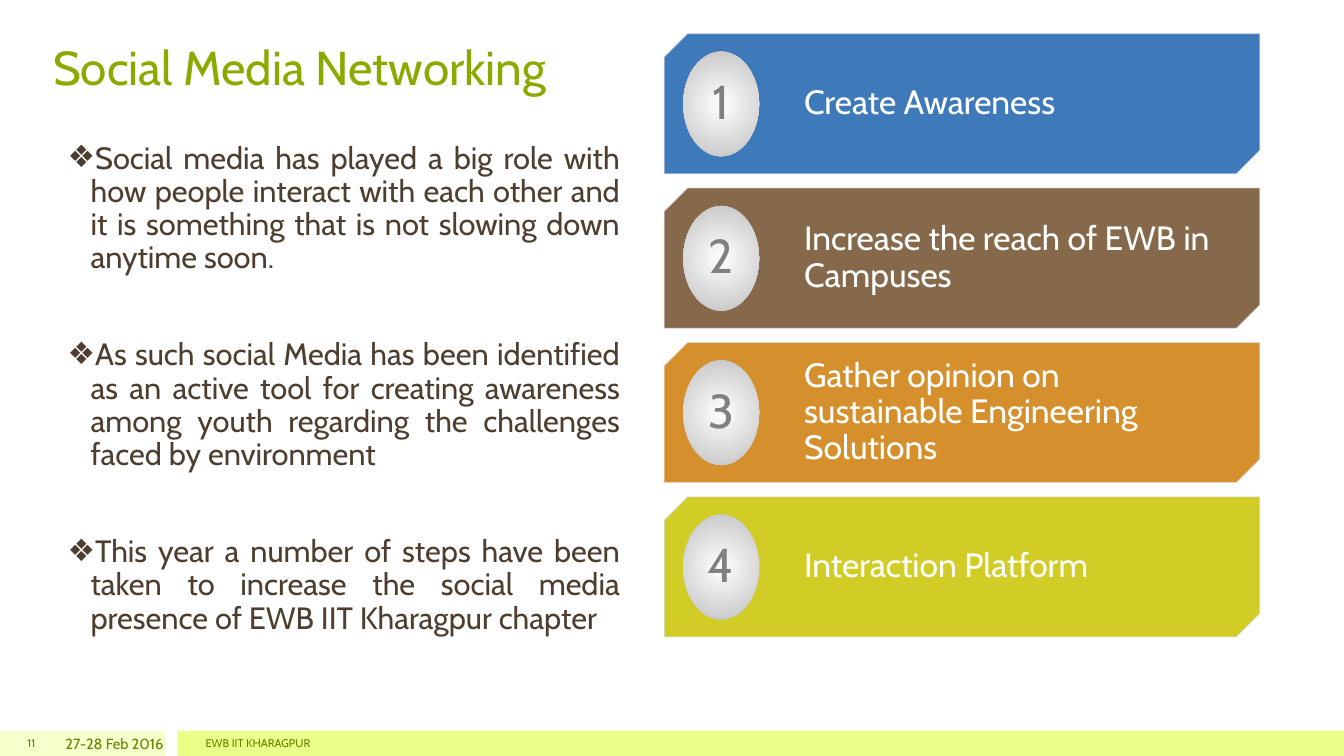
"""Build the Social Media Networking slide with its four numbered goals."""
from dataclasses import dataclass

import pptx
import pptx.dml.color
import pptx.enum.shapes
import pptx.enum.text
import pptx.oxml
import pptx.oxml.ns
import pptx.util
from pptx.util import Cm

FONT = "Cabin"
COLOURS = {
    "title": "8BAA00", "body": "4D3E2F", "footer": "688000",
    "pale": "F6FFCC", "lime": "E9FF88", "white": "FFFFFF",
    "silver": "BFBFBF", "number": "808080",
    "blue": "2A6CB2", "blue edge": "CDD4E4",
    "brown": "795837", "brown edge": "D7D1CE",
    "orange": "D18316", "orange edge": "EED9CC",
    "olive": "CDC80F", "olive edge": "D7E5F9",
}
ALIGN = pptx.enum.text.PP_ALIGN
ANCHOR = pptx.enum.text.MSO_ANCHOR
SHAPE = pptx.enum.shapes.MSO_SHAPE
BANNER_TOP, BANNER_PITCH = 0.85, 3.89
FOOTER_TOP, FOOTER_HEIGHT = 18.42, 0.63


@dataclass
class Goal:
    label: str
    colour: str


@dataclass
class FooterText:
    text: str
    left: float
    width: float
    size: float
    align: ALIGN


GOALS = [
    Goal("Create Awareness", "blue"),
    Goal("Increase the reach of EWB in Campuses", "brown"),
    Goal("Gather opinion on sustainable Engineering Solutions", "orange"),
    Goal("Interaction Platform", "olive"),
]
POINTS = [
    "Social media has played a big role with how people interact with each other "
    "and it is something that is not slowing down anytime soon.",
    "As such social Media has been identified as an active tool for creating "
    "awareness among youth regarding the challenges faced by environment",
    "This year a number of steps have been taken to increase the social media "
    "presence of EWB IIT Kharagpur chapter",
]
FOOTERS = [
    FooterText("EWB IIT KHARAGPUR", 4.93, 25.4, 8, ALIGN.LEFT),
    FooterText("11", 0, 1.14, 8, ALIGN.RIGHT),
    FooterText("27-28 Feb 2016", 1.14, 3.23, 10.5, ALIGN.RIGHT),
]


def rgb(name: str) -> pptx.dml.color.RGBColor:
    """Look up a named colour."""
    return pptx.dml.color.RGBColor.from_string(COLOURS[name])


def element(markup: str):
    """Parse a drawing element written without its namespace."""
    tag, _, rest = markup.partition(" ")
    return pptx.oxml.parse_xml(f"<a:{tag} {pptx.oxml.ns.nsdecls('a')} {rest}")


def place(box, left: float, top: float, width: float, height: float) -> None:
    """Move and size a placeholder in centimetres."""
    box.left, box.top, box.width, box.height = map(Cm, (left, top, width, height))


def write(para, text: str, size: float, colour: str, align: ALIGN, spacing: float = 1.0) -> None:
    """Add one formatted run to a paragraph."""
    para.alignment, para.line_spacing = align, spacing
    span = para.add_run()
    span.text = text
    span.font.name, span.font.size = FONT, pptx.util.Pt(size)
    span.font.color.rgb = rgb(colour)


def prepare(box, anchor: ANCHOR):
    """Set wrapping and anchoring, and return the text frame."""
    frame = box.text_frame
    frame.word_wrap = True
    frame.auto_size = pptx.enum.text.MSO_AUTO_SIZE.NONE
    frame.vertical_anchor = anchor
    return frame


def add_plain(page, kind: SHAPE, left: float, top: float, width: float, height: float):
    """Add a shape with neither shadow nor outline."""
    box = page.shapes.add_shape(kind, Cm(left), Cm(top), Cm(width), Cm(height))
    box.shadow.inherit = False
    box.line.fill.background()
    return box


def paint(fill, colour: str, alpha: int = 100) -> None:
    """Apply a solid colour with the given opacity in percent."""
    fill.solid()
    fill.fore_color.rgb = rgb(colour)
    if alpha < 100:
        holder = fill._xPr.find(pptx.oxml.ns.qn("a:solidFill"))
        holder[0].append(element(f'alpha val="{alpha * 1000}"/>'))


def fill_title(box) -> None:
    """Format the title placeholder."""
    place(box, 0.84, 0.84, 15.67, 2.79)
    frame = prepare(box, ANCHOR.TOP)
    frame.margin_left = Cm(0.5)
    write(frame.paragraphs[0], "Social Media Networking", 34, "title", ALIGN.LEFT)


def fill_body(box) -> None:
    """Write the justified list into the body placeholder."""
    place(box, 1.45, 2.24, 14.43, 14.96)
    frame = prepare(box, ANCHOR.TOP)
    frame.margin_top = Cm(1.35)
    for index, point in enumerate(POINTS):
        para = frame.add_paragraph() if index else frame.paragraphs[0]
        write(para, point, 22, "body", ALIGN.JUSTIFY, 0.9)
        para.space_before = pptx.util.Pt(45.5 if index else 0)
        properties = para._p.get_or_add_pPr()
        properties.set("marL", str(Cm(0.58)))
        properties.set("indent", str(Cm(-0.58)))
        properties.append(element('buChar char="❖"/>'))


def add_goal(page, index: int, goal: Goal) -> None:
    """Draw one banner with its numbered oval."""
    top = BANNER_TOP + index * BANNER_PITCH
    banner = add_plain(page, SHAPE.SNIP_2_DIAG_RECTANGLE, 16.74, top, 15.01, 3.53)
    banner.adjustments[0], banner.adjustments[1] = 0.16667, 0
    paint(banner.fill, goal.colour, 90)
    paint(banner.line.fill, f"{goal.colour} edge", 90)
    banner.line.width = pptx.util.Pt(0.5)
    frame = prepare(banner, ANCHOR.MIDDLE)
    frame.margin_left, frame.margin_right = Cm(3.23), Cm(0.69)
    write(frame.paragraphs[0], goal.label, 24, "white", ALIGN.LEFT, 0.9)

    oval = add_plain(page, SHAPE.OVAL, 17.22, top + 0.45, 1.91, 2.64)
    oval.fill.gradient()
    for stop, colour in zip(oval.fill.gradient_stops, ("white", "silver")):
        stop.color.rgb = rgb(colour)
    gradient = oval._element.spPr.find(pptx.oxml.ns.qn("a:gradFill"))
    gradient.remove(gradient.find(pptx.oxml.ns.qn("a:lin")))
    gradient.append(element(
        'path path="circle"><a:fillToRect l="50000" t="50000" r="50000" b="50000"/></a:path>'))
    frame = prepare(oval, ANCHOR.MIDDLE)
    frame.margin_left = frame.margin_right = 0
    write(frame.paragraphs[0], str(index + 1), 34, "number", ALIGN.CENTER, 0.9)


def add_footer(page, footer: FooterText) -> None:
    """Add one text of the footer strip."""
    box = page.shapes.add_textbox(
        Cm(footer.left), Cm(FOOTER_TOP), Cm(footer.width), Cm(FOOTER_HEIGHT))
    frame = prepare(box, ANCHOR.MIDDLE)
    write(frame.paragraphs[0], footer.text, footer.size, "footer", footer.align)


def main() -> None:
    """Build and save the deck."""
    deck = pptx.Presentation()
    deck.slide_width, deck.slide_height = Cm(33.87), Cm(19.05)
    page = deck.slides.add_slide(deck.slide_layouts[1])
    for left, width, colour in ((0, 4.17, "pale"), (4.47, 29.4, "lime")):
        strip = add_plain(page, SHAPE.RECTANGLE, left, FOOTER_TOP, width, FOOTER_HEIGHT)
        paint(strip.fill, colour)
    fill_title(page.shapes.title)
    fill_body(page.placeholders[1])
    for index, goal in enumerate(GOALS):
        add_goal(page, index, goal)
    for footer in FOOTERS:
        add_footer(page, footer)
    deck.save("out.pptx")


if __name__ == "__main__":
    main()
